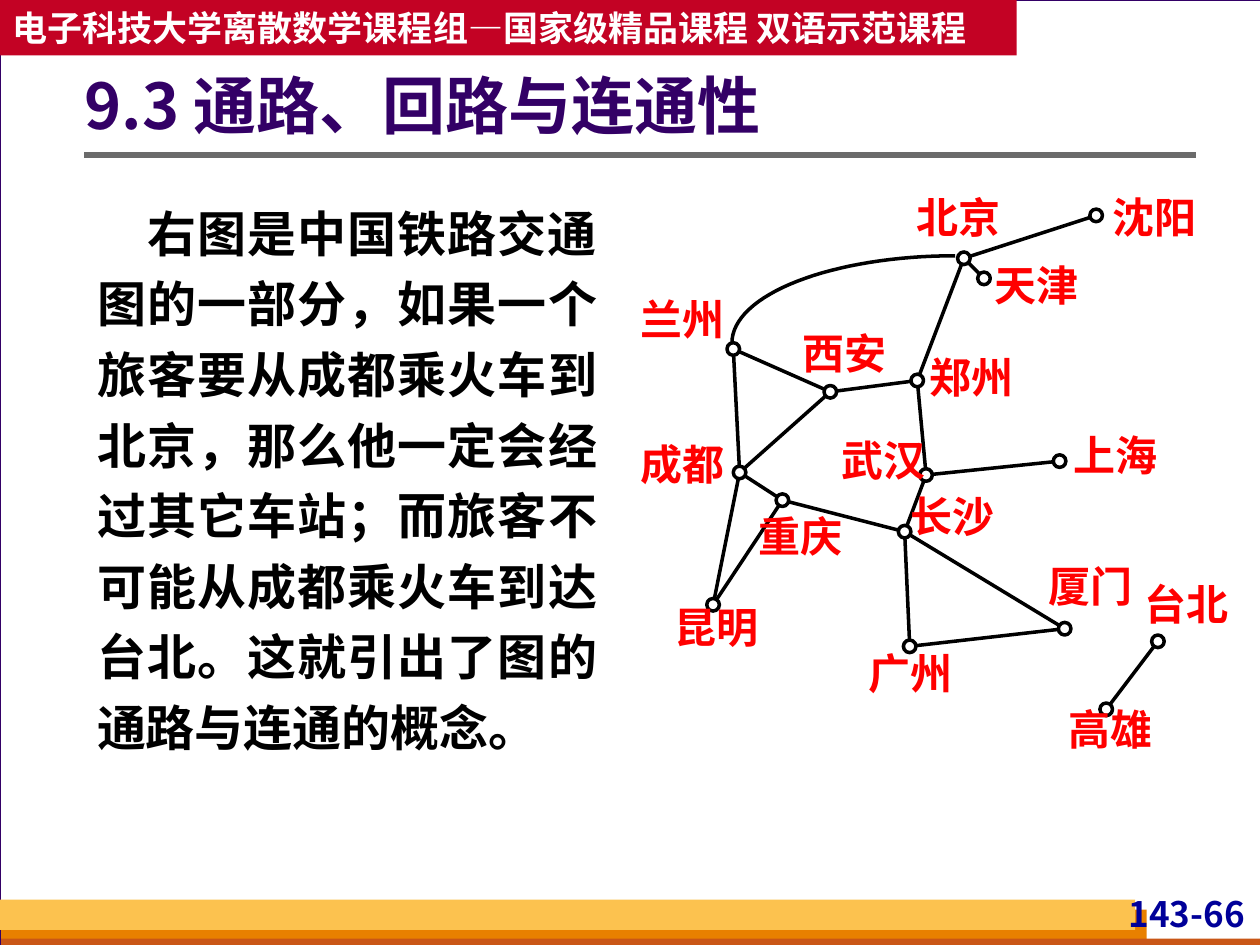
from dataclasses import dataclass
from math import cos, hypot, pi, sin

from lxml.etree import SubElement
from pptx import Presentation
from pptx.dml.color import RGBColor
from pptx.enum.shapes import MSO_CONNECTOR as Connector, MSO_SHAPE as Shape
from pptx.enum.text import MSO_ANCHOR as Anchor, MSO_AUTO_SIZE as AutoSize, PP_ALIGN as Align
from pptx.oxml.ns import qn
from pptx.util import Emu, Pt

PX = 9144


@dataclass(frozen=True)
class Theme:
    font: str = "Noto Sans CJK SC"
    backdrop: str = "D8DADA"
    paper: str = "FFFFFF"
    ink: str = "000000"
    purple: str = "330066"
    crimson: str = "C30224"
    amber: str = "FCC24F"
    orange: str = "E88000"
    rust: str = "C95616"
    rule: str = "6B6B6B"
    navy: str = "000099"
    city: str = "FF0000"
    title_size: int = 36
    body_size: int = 28
    city_size: int = 24
    small_size: int = 20
    frame_line: float = 0.75
    graph_line: int = 2
    rule_line: int = 3


THEME = Theme()
NODE = 10
LABEL = (69, 49)
BODY = ("右图是中国铁路交通图的一部分，如果一个旅客要从成都乘火车到北京，"
        "那么他一定会经过其它车站；而旅客不可能从成都乘火车到达台北。"
        "这就引出了图的通路与连通的概念。")

CITIES = {
    "成都": ((582, 370), (508, 348)),
    "重庆": ((616, 392), (602, 405)),
    "郑州": ((723, 297), (738, 279)),
    "西安": ((654, 306), (637, 260)),
    "北京": ((760, 200), (727, 152)),
    "长沙": ((713, 417), (723, 389)),
    "上海": ((836, 361), (852, 341)),
    "天津": ((776, 216), (789, 206)),
    "沈阳": ((865, 166), (883, 152)),
    "兰州": ((577, 272), (508, 233)),
    "广州": ((717, 508), (689, 514)),
    "昆明": ((561, 475), (535, 477)),
    "武汉": ((730, 372), (668, 345)),
    "厦门": ((840, 494), (832, 445)),
    "高雄": ((873, 558), (848, 558)),
    "台北": ((914, 504), (908, 459)),
}
RAILWAYS = [
    ("兰州", "西安"), ("成都", "重庆"), ("成都", "昆明"), ("重庆", "昆明"),
    ("西安", "成都"), ("兰州", "成都"), ("重庆", "长沙"), ("长沙", "广州"),
    ("西安", "郑州"), ("郑州", "武汉"), ("武汉", "长沙"), ("武汉", "上海"),
    ("北京", "郑州"), ("北京", "沈阳"), ("北京", "天津"), ("长沙", "厦门"),
    ("厦门", "广州"), ("台北", "高雄"),
]


def px(*lengths):
    return [Emu(round(length * PX)) for length in lengths]


def rgb(color):
    return RGBColor.from_string(color)


def apply_format(target, values):
    for name, value in values.items():
        setattr(target, name, value)


def paint_line(shape, color, width):
    shape.line.color.rgb = rgb(color)
    shape.line.width = Pt(width)


def write_text(shape, text, size, color, insets=(0, 0, 0, 0), frame_format=None, paragraph_format=None):
    frame = shape.text_frame
    sides = ("margin_left", "margin_top", "margin_right", "margin_bottom")
    apply_format(frame, {"word_wrap": True, "auto_size": AutoSize.NONE,
                         "vertical_anchor": Anchor.TOP, **dict(zip(sides, px(*insets))),
                         **(frame_format or {})})
    paragraph = frame.paragraphs[0]
    apply_format(paragraph, {"alignment": Align.LEFT, "space_before": Pt(0),
                             **(paragraph_format or {})})
    run = paragraph.add_run()
    run.text = text
    run.font.color.rgb = rgb(color)
    apply_format(run.font, {"size": Pt(size), "bold": True, "name": THEME.font})
    SubElement(run.font._element, qn("a:ea"), typeface=THEME.font)
    return paragraph


def add_block(shapes, kind, box, fill, line=None):
    shape = shapes.add_shape(kind, *px(*box))
    shape.shadow.inherit = False
    shape.fill.solid()
    shape.fill.fore_color.rgb = rgb(fill)
    if line:
        paint_line(shape, *line)
    else:
        shape.line.fill.background()
    return shape


def add_line(shapes, start, end, color, width):
    line = shapes.add_connector(Connector.STRAIGHT, *px(*start, *end))
    paint_line(line, color, width)
    SubElement(line.element.spPr, qn("a:effectLst"))


def add_label(shapes, box, text, size, color, insets, alignment):
    label = shapes.add_textbox(*px(*box))
    write_text(label, text, size, color, insets, paragraph_format={"alignment": alignment})


def place(placeholder, box):
    apply_format(placeholder, dict(zip(("left", "top", "width", "height"), px(*box))))
    placeholder.element.getparent().append(placeholder.element)


def add_decoration(shapes):
    add_block(shapes, Shape.RECTANGLE, (0, 0, 1001, 750), THEME.paper, (THEME.purple, THEME.frame_line))
    for box, color in (((1, 722, 909, 28), THEME.orange),
                       ((1, 745, 1000, 8), THEME.rust),
                       ((0, 714, 901, 24), THEME.amber)):
        add_block(shapes, Shape.RECTANGLE, box, color)
    add_label(shapes, (870, 708, 122, 38), "143-66", THEME.small_size, THEME.navy, (4, 0, 4, 0), Align.RIGHT)
    add_line(shapes, (67, 123), (949, 123), THEME.rule, THEME.rule_line)
    banner = add_block(shapes, Shape.RECTANGLE, (0, 0, 807, 44), THEME.crimson)
    write_text(banner, "电子科技大学离散数学课程组—国家级精品课程 双语示范课程",
               THEME.small_size, THEME.paper, (10, 5, 10, 5),
               {"word_wrap": False, "vertical_anchor": Anchor.MIDDLE})


def add_title(title):
    place(title, (67, 36, 882, 101))
    write_text(title, "9.3 通路、回路与连通性", THEME.title_size, THEME.purple,
               (0, 5, 10, 5), {"vertical_anchor": Anchor.MIDDLE}, {"line_spacing": 0.9})


def add_body(body):
    place(body, (67, 147, 417, 459))
    paragraph = write_text(body, BODY, THEME.body_size, THEME.ink, (10, 5, 10, 5),
                           paragraph_format={"alignment": Align.JUSTIFY, "line_spacing": 1.2})
    properties = paragraph._p.get_or_add_pPr()
    properties.set("marL", "0")
    properties.set("indent", str(40 * PX))
    SubElement(properties, qn("a:buNone"))


def add_railway(shapes, first, second):
    (x1, y1), (x2, y2) = [[edge + NODE / 2 for edge in CITIES[city][0]] for city in (first, second)]
    trim = NODE / 2 / hypot(x2 - x1, y2 - y1)
    dx, dy = (x2 - x1) * trim, (y2 - y1) * trim
    add_line(shapes, (x1 + dx, y1 + dy), (x2 - dx, y2 - dy), THEME.ink, THEME.graph_line)


def add_arc(shapes, center, radii, steps=32):
    angles = [pi / 2 * (1 + step / steps) for step in range(steps + 1)]
    points = [px(center[0] + radii[0] * cos(angle), center[1] - radii[1] * sin(angle))
              for angle in angles]
    builder = shapes.build_freeform(*points[0])
    builder.add_line_segments(points[1:], close=False)
    arc = builder.convert_to_shape()
    arc.shadow.inherit = False
    arc.fill.background()
    paint_line(arc, THEME.ink, THEME.graph_line)


def add_railway_map(shapes):
    for first, second in RAILWAYS:
        add_railway(shapes, first, second)
    add_arc(shapes, (758, 272), (177, 69))
    for city, (node, label) in CITIES.items():
        add_block(shapes, Shape.OVAL, (*node, NODE, NODE), THEME.paper, (THEME.ink, THEME.graph_line))
        add_label(shapes, (*label, *LABEL), city, THEME.city_size, THEME.city, (0, 0, 0, 0), Align.JUSTIFY)


def main():
    presentation = Presentation()
    presentation.slide_width, presentation.slide_height = px(1000, 750)
    slide = presentation.slides.add_slide(presentation.slide_layouts[1])
    slide.background.fill.solid()
    slide.background.fill.fore_color.rgb = rgb(THEME.backdrop)
    add_decoration(slide.shapes)
    add_title(slide.shapes.title)
    add_body(slide.placeholders[1])
    add_railway_map(slide.shapes.add_group_shape().shapes)
    presentation.save("out.pptx")


if __name__ == "__main__":
    main()
